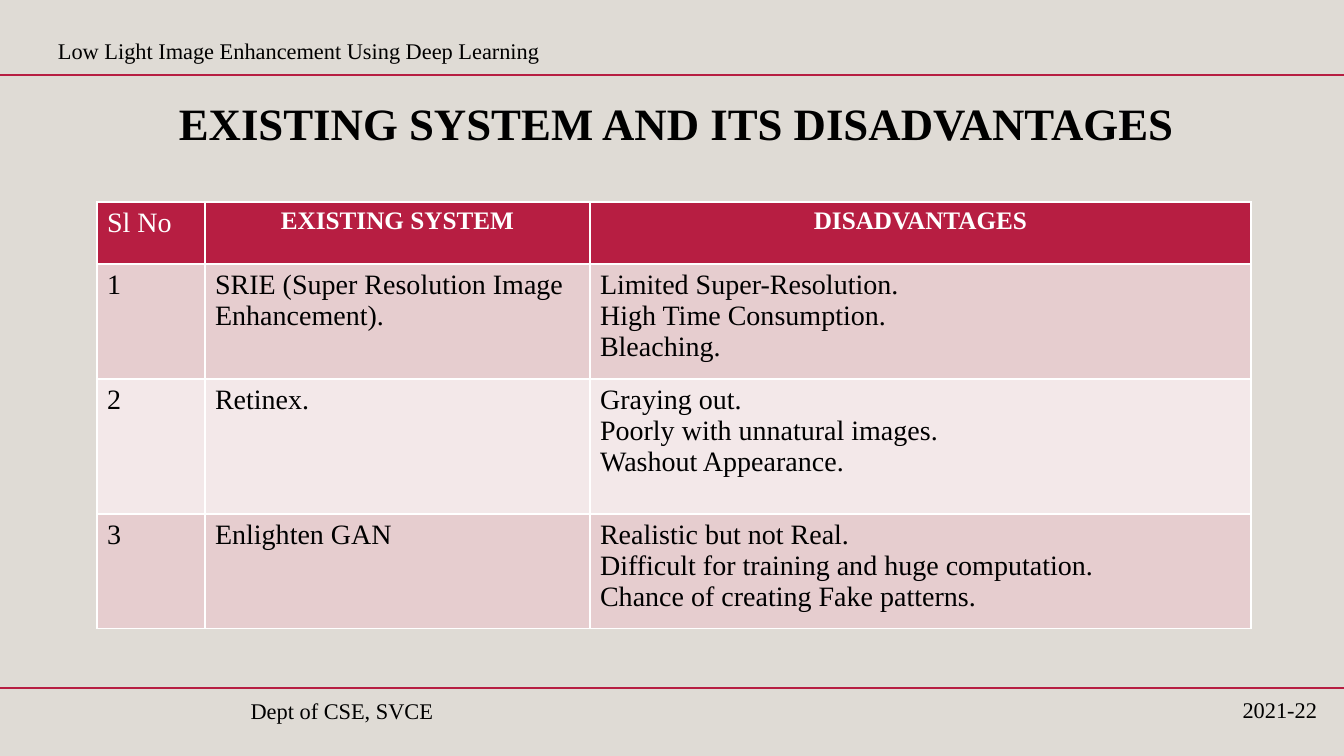
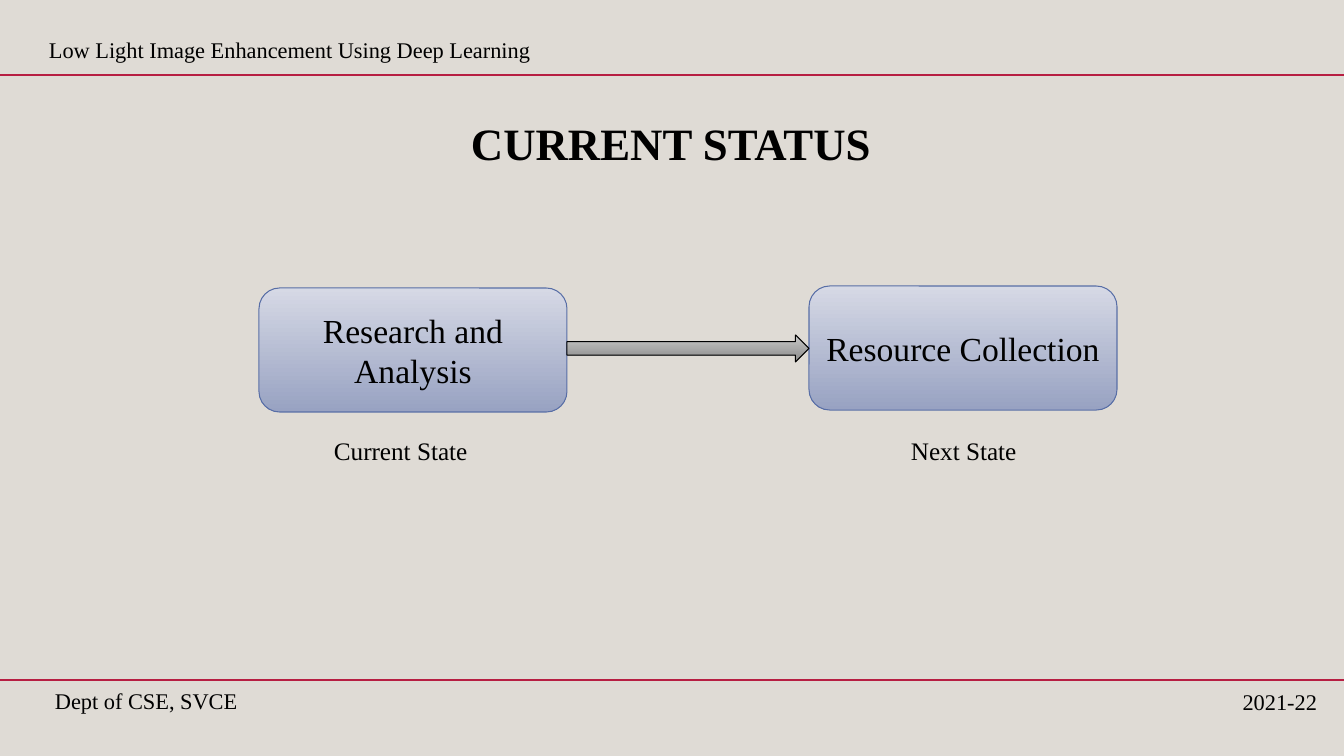
from lxml import etree
from pptx import Presentation
from pptx.dml.color import RGBColor
from pptx.enum.shapes import MSO_CONNECTOR, MSO_SHAPE
from pptx.enum.text import MSO_ANCHOR, PP_ALIGN
from pptx.oxml.ns import qn
from pptx.util import Emu, Pt

LEFT, CENTER, RIGHT = PP_ALIGN.LEFT, PP_ALIGN.CENTER, PP_ALIGN.RIGHT
TOP, MIDDLE = MSO_ANCHOR.TOP, MSO_ANCHOR.MIDDLE
ROUNDED, ARROW = MSO_SHAPE.ROUNDED_RECTANGLE, MSO_SHAPE.RIGHT_ARROW
STRAIGHT = MSO_CONNECTOR.STRAIGHT

BLACK = RGBColor(0x00, 0x00, 0x00)
WHITE = RGBColor(0xFF, 0xFF, 0xFF)
SAND = RGBColor(0xDF, 0xDB, 0xD5)
CRIMSON = RGBColor(0xB7, 0x1E, 0x42)
ROSE = RGBColor(0xE6, 0xCD, 0xCF)
PALE_ROSE = RGBColor(0xF3, 0xE8, 0xE9)
BLUE_EDGE = RGBColor(0x58, 0x6E, 0xA6)
BLUE_FADE = (RGBColor(0xD6, 0xD9, 0xE5), RGBColor(0x98, 0xA2, 0xC2))
GREY_FADE = (RGBColor(0xC8, 0xC8, 0xC8), RGBColor(0x8B, 0x8B, 0x8A))

WIDTH, HEIGHT = 1344, 756
FONT = "Times New Roman"


def px(*lengths):
    return [Emu(round(length * 914400 / 100.8)) for length in lengths]


class Deck:
    def __init__(self):
        self.presentation = Presentation()
        size = px(WIDTH, HEIGHT)
        self.presentation.slide_width, self.presentation.slide_height = size
        self.slide = None

    def new_slide(self):
        self.slide = self.presentation.slides.add_slide(
            self.presentation.slide_layouts[6])
        background = self.slide.background.fill
        background.solid()
        background.fore_color.rgb = SAND

    def set_text(self, frame, text, size, color=BLACK, bold=False, align=LEFT,
                 spacing=None):
        """Fill a text frame, one paragraph for each line of text."""
        frame.word_wrap = True
        frame.text = text
        for paragraph in frame.paragraphs:
            paragraph.alignment = align
            paragraph.line_spacing = spacing
            font = paragraph.font
            font.name, font.size, font.bold = FONT, Pt(size), bold
            font.color.rgb = color

    def label(self, box, text, size, anchor=TOP, **style):
        frame = self.slide.shapes.add_textbox(*px(*box)).text_frame
        frame.vertical_anchor = anchor
        self.set_text(frame, text, size, **style)

    def title(self, box, text):
        self.label(box, text, 32, bold=True, align=CENTER, spacing=0.9)

    def rule(self, y):
        line = self.slide.shapes.add_connector(STRAIGHT, *px(0, y, WIDTH, y))
        line.line.color.rgb = CRIMSON
        line.line.width = Pt(1.75)
        etree.SubElement(line._element.spPr, qn("a:effectLst"))

    def bands(self, header_at, footer_y, dept_at, dept_style):
        """Draw the running header and footer with their rules."""
        self.rule(75)
        self.rule(footer_y)
        self.label((*header_at, 892, 37),
                   "Low Light Image Enhancement Using Deep Learning", 16)
        self.label((*dept_at, 395, 40), "Dept of CSE, SVCE", 16, **dept_style)
        self.label((950, footer_y + 3, 377, 38), "2021-22", 16, align=RIGHT)

    def faded_shape(self, kind, box, fade, edge, text=""):
        shape = self.slide.shapes.add_shape(kind, *px(*box))
        shape.shadow.inherit = False
        shape.fill.gradient()
        shape.fill.gradient_angle = 270
        stops = zip(shape.fill.gradient_stops, fade)
        for position, (stop, color) in enumerate(stops):
            stop.color.rgb = color
            stop.position = position
        shape.line.color.rgb = edge
        shape.line.width = Pt(0.75)
        if text:
            shape.text_frame.vertical_anchor = MIDDLE
            self.set_text(shape.text_frame, text, 24, align=CENTER)

    def border(self, cell):
        properties = cell._tc.get_or_add_tcPr()
        for side in ("a:lnL", "a:lnR", "a:lnT", "a:lnB"):
            edge = etree.SubElement(properties, qn(side), w=str(Pt(1)))
            fill = etree.SubElement(edge, qn("a:solidFill"))
            etree.SubElement(fill, qn("a:srgbClr"), val=str(WHITE))

    def table(self, left, top, widths, heights, rows):
        table = self.slide.shapes.add_table(
            len(rows), len(widths),
            *px(left, top, sum(widths), sum(heights))).table
        for column, width in zip(table.columns, px(*widths)):
            column.width = width
        for row, height in zip(table.rows, px(*heights)):
            row.height = height
        for r, row in enumerate(rows):
            for c, text in enumerate(row):
                cell = table.cell(r, c)
                self.border(cell)
                cell.fill.solid()
                if r == 0:
                    cell.fill.fore_color.rgb = CRIMSON
                    style = (dict(size=18, bold=True, align=CENTER) if c
                             else dict(size=20))
                    self.set_text(cell.text_frame, text, color=WHITE, **style)
                else:
                    cell.fill.fore_color.rgb = ROSE if r % 2 else PALE_ROSE
                    self.set_text(cell.text_frame, text, 20)


def existing_system(deck):
    deck.new_slide()
    deck.title((97, 97, 1159, 103), "EXISTING SYSTEM AND ITS DISADVANTAGES")
    deck.table(97, 202, (108, 385, 661), (62, 115, 135, 115), [
        ("Sl No", "EXISTING SYSTEM", "DISADVANTAGES"),
        ("1", "SRIE (Super Resolution Image Enhancement).",
         "Limited Super-Resolution.\nHigh Time Consumption.\nBleaching."),
        ("2", "Retinex.",
         "Graying out.\nPoorly with unnatural images.\nWashout Appearance."),
        ("3", "Enlighten GAN",
         "Realistic but not Real.\n"
         "Difficult for training and huge computation.\n"
         "Chance of creating Fake patterns."),
    ])
    deck.bands((48, 32), 688, (48, 691), dict(align=RIGHT, anchor=MIDDLE))


def current_status(deck):
    deck.new_slide()
    deck.title((45, 117, 1252, 85), "CURRENT STATUS")
    states = [
        (259, 288, "Research and Analysis", 324, "Current State"),
        (809, 286, "Resource Collection", 901, "Next State"),
    ]
    for left, top, step, caption_left, caption in states:
        deck.faded_shape(ROUNDED, (left, top, 308, 124), BLUE_FADE, BLUE_EDGE,
                         step)
        deck.label((caption_left, 430, 200, 40), caption, 18)
    deck.faded_shape(ARROW, (567, 335, 242, 27), GREY_FADE, BLACK)
    deck.bands((39, 31), 680, (45, 682), dict(align=LEFT))


def main():
    deck = Deck()
    existing_system(deck)
    current_status(deck)
    deck.presentation.save("out.pptx")


if __name__ == "__main__":
    main()
